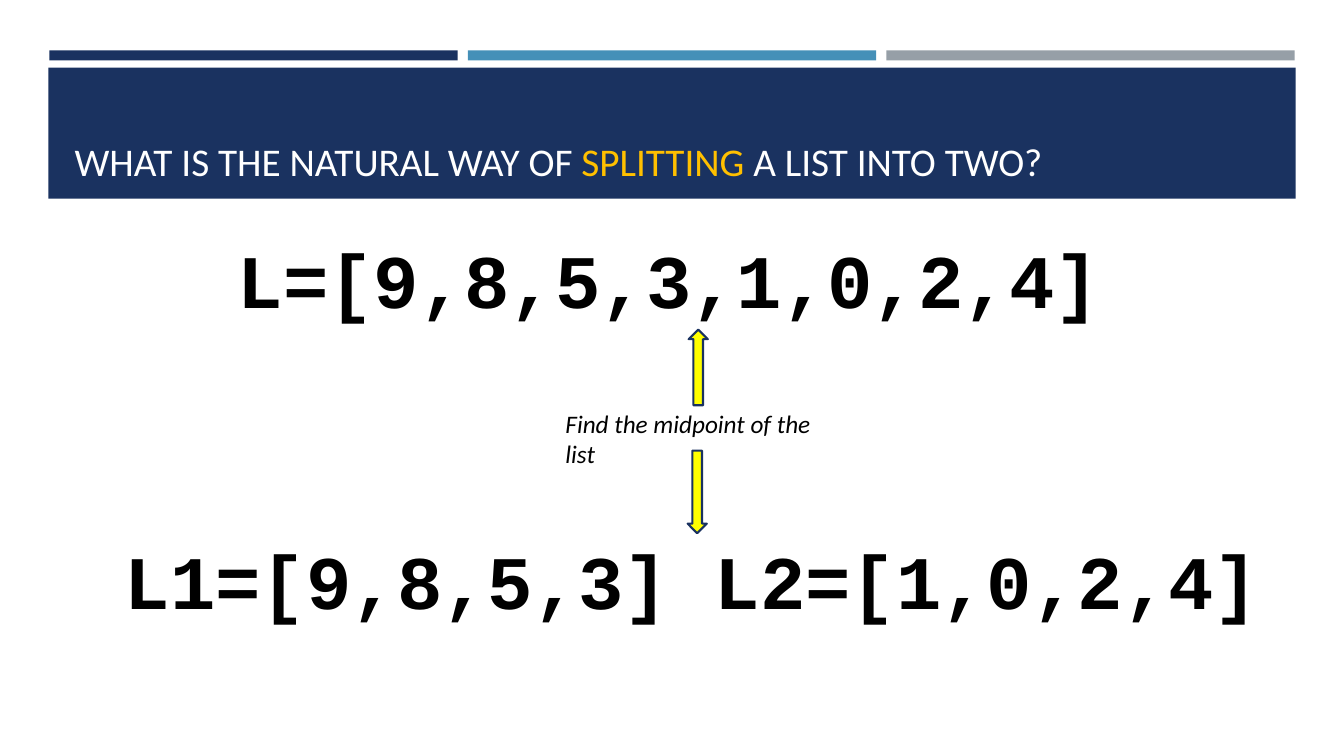
from pptx import Presentation
from pptx.dml.color import RGBColor
from pptx.enum.shapes import MSO_SHAPE as Shape
from pptx.enum.text import MSO_ANCHOR as Anchor, MSO_AUTO_SIZE as AutoSize, PP_ALIGN as Align
from pptx.util import Inches, Pt

NAVY, BLUE, GREY = "1A3260", "4590B8", "969FA7"
WHITE, BLACK, GOLD, YELLOW = "FFFFFF", "000000", "FFC000", "FFFF00"


def color(hex_code):
    return RGBColor.from_string(hex_code)


class SlideBuilder:
    body_font = "Calibri"
    code_font = "Courier New"

    def __init__(self, slide):
        self.slide = slide

    def shape(self, kind, left, top, width, height, fill, line=None):
        item = self.slide.shapes.add_shape(
            kind, Inches(left), Inches(top), Inches(width), Inches(height))
        item.shadow.inherit = False
        item.fill.solid()
        item.fill.fore_color.rgb = color(fill)
        if line:
            item.line.color.rgb = color(line)
            item.line.width = Pt(1.5)
        else:
            item.line.fill.background()

    def style(self, span, size, font, fill):
        span.font.size = Pt(size)
        span.font.name = font
        span.font.color.rgb = color(fill)

    def title(self, left, top, width, height, parts):
        box = self.slide.shapes.title
        box.left, box.top = Inches(left), Inches(top)
        box.width, box.height = Inches(width), Inches(height)
        # Bring the title in front of its band
        box.element.getparent().append(box.element)
        frame = box.text_frame
        frame.auto_size = AutoSize.NONE
        frame.word_wrap = True
        frame.vertical_anchor = Anchor.BOTTOM
        para = frame.paragraphs[0]
        para.alignment = Align.LEFT
        for text, fill in parts:
            span = para.add_run()
            span.text = text
            self.style(span, 28, self.body_font, fill)

    def text(self, left, top, width, height, text, size, font, bold=False, italic=False):
        box = self.slide.shapes.add_textbox(
            Inches(left), Inches(top), Inches(width), Inches(height))
        frame = box.text_frame
        frame.word_wrap = True
        frame.text = text
        span = frame.paragraphs[0].runs[0]
        self.style(span, size, font, BLACK)
        span.font.bold = bold
        span.font.italic = italic

    def code(self, left, top, width, text):
        self.text(left, top, width, 1.01, text, 54, self.code_font, bold=True)

    def arrow(self, kind, left, top, height):
        self.shape(kind, left, top, 0.19, height, YELLOW, NAVY)


def main():
    deck = Presentation()
    deck.slide_width, deck.slide_height = Inches(13.33), Inches(7.5)
    page = SlideBuilder(deck.slides.add_slide(deck.slide_layouts[5]))

    # Header stripes and title band
    for index, fill in enumerate((NAVY, BLUE, GREY)):
        page.shape(Shape.RECTANGLE, 0.49 + 4.15 * index, 0.5, 4.05, 0.1, fill)
    page.shape(Shape.RECTANGLE, 0.48, 0.67, 12.37, 1.3, NAVY)
    page.title(0.64, 0.77, 12.06, 1.11, [
        ("WHAT IS THE NATURAL WAY OF ", WHITE),
        ("SPLITTING", GOLD),
        (" A LIST INTO TWO?", WHITE)])

    # Whole list, midpoint and the two halves
    page.code(2.26, 2.26, 8.83, "L=[9,8,5,3,1,0,2,4]")
    page.arrow(Shape.UP_ARROW, 6.83, 3.27, 0.75)
    page.text(5.51, 4, 2.81, 0.4, "Find the midpoint of the list", 18,
              page.body_font, italic=True)
    page.arrow(Shape.DOWN_ARROW, 6.82, 4.47, 0.82)
    page.code(1.14, 5.25, 11.55, "L1=[9,8,5,3] L2=[1,0,2,4]")

    deck.save("out.pptx")


if __name__ == "__main__":
    main()
